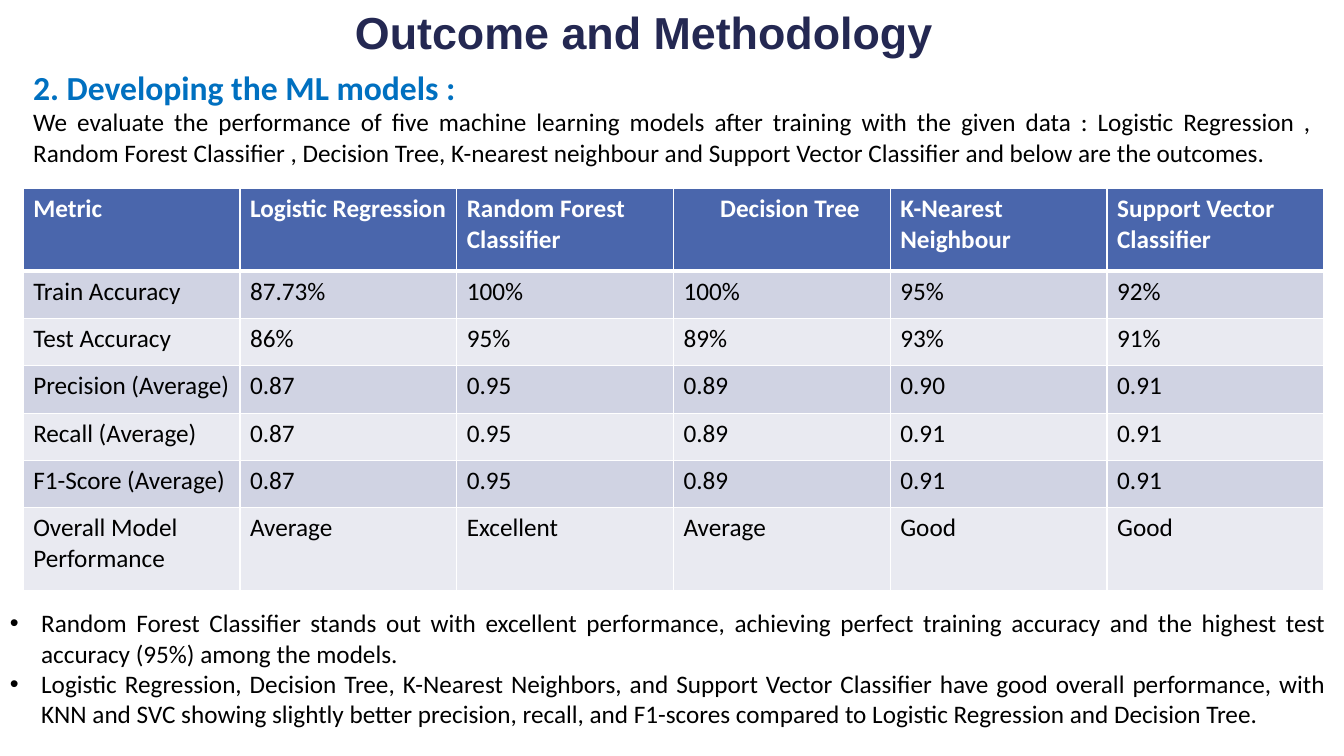
from dataclasses import dataclass

from lxml.etree import SubElement
from pptx import Presentation
from pptx.dml.color import RGBColor
from pptx.enum.text import MSO_ANCHOR, MSO_AUTO_SIZE, PP_ALIGN
from pptx.oxml import parse_xml
from pptx.oxml.ns import nsdecls, qn
from pptx.util import Emu, Pt

PX = 9144  # 100 px to the inch


@dataclass(frozen=True)
class Theme:
    title: str = "242852"
    heading: str = "0070C0"
    text: str = "000000"
    white: str = "FFFFFF"
    header: str = "4A66AC"
    bands: tuple = ("D0D3E3", "E9EAF1")
    title_font: str = "Arial"
    body_font: str = "Calibri"
    title_size: int = 32
    heading_size: int = 24
    body_size: int = 18


theme = Theme()


def px(*lengths):
    return [Emu(length * PX) for length in lengths]


def style(paragraph, size, color, bold=False, name=theme.body_font, align=PP_ALIGN.LEFT):
    paragraph.alignment = align
    font = paragraph.font
    font.name, font.size, font.bold = name, Pt(size), bold
    font.color.rgb = RGBColor.from_string(color)


presentation = Presentation()
presentation.slide_width, presentation.slide_height = px(1333, 750)
slide = presentation.slides.add_slide(presentation.slide_layouts[5])

# Title
title = slide.shapes.title
title.left, title.top, title.width, title.height = px(342, -13, 1150, 89)
title.text_frame.text = "Outcome and Methodology"
title.text_frame.auto_size = MSO_AUTO_SIZE.NONE
title.text_frame.vertical_anchor = MSO_ANCHOR.MIDDLE
style(title.text_frame.paragraphs[0], theme.title_size, theme.title, True, theme.title_font)

# Model comparison table
rows = [
    ["Metric", "Logistic Regression", "Random Forest Classifier", "Decision Tree",
     "K-Nearest Neighbour", "Support Vector Classifier"],
    ["Train Accuracy", "87.73%", "100%", "100%", "95%", "92%"],
    ["Test Accuracy", "86%", "95%", "89%", "93%", "91%"],
    ["Precision (Average)", "0.87", "0.95", "0.89", "0.90", "0.91"],
    ["Recall (Average)", "0.87", "0.95", "0.89", "0.91", "0.91"],
    ["F1-Score (Average)", "0.87", "0.95", "0.89", "0.91", "0.91"],
    ["Overall Model Performance", "Average", "Excellent", "Average", "Good", "Good"],
]
row_heights = px(82, 47, 47, 47, 47, 47, 82)
table = slide.shapes.add_table(len(rows), len(rows[0]), *px(23, 187, 1290, 399)).table
for column in table.columns:
    column.width = Emu(215 * PX)

for row_index, labels in enumerate(rows):
    is_header = row_index == 0
    table.rows[row_index].height = row_heights[row_index]
    fill = theme.header if is_header else theme.bands[(row_index - 1) % 2]
    border_widths = {"lnL": 1, "lnR": 1, "lnT": 3 if row_index == 1 else 1,
                     "lnB": 3 if is_header else 1}
    for column_index, label in enumerate(labels):
        cell = table.cell(row_index, column_index)
        cell.text = label
        style(cell.text_frame.paragraphs[0], theme.body_size,
              theme.white if is_header else theme.text, is_header)
        cell.fill.solid()
        cell.fill.fore_color.rgb = RGBColor.from_string(fill)
        properties = cell._tc.get_or_add_tcPr()
        for position, (side, width) in enumerate(border_widths.items()):
            properties.insert(position, parse_xml(
                f'<a:{side} {nsdecls("a")} w="{Pt(width)}"><a:solidFill>'
                f'<a:srgbClr val="{theme.white}"/></a:solidFill></a:{side}>'))

# The Decision Tree heading is centred, a little to the right
decision_tree = table.cell(0, 3)
decision_tree.text_frame.paragraphs[0].alignment = PP_ALIGN.CENTER
decision_tree.margin_left = Emu(26 * PX)

# Introduction above the table
introduction = slide.shapes.add_textbox(*px(23, 61, 1288, 111)).text_frame
introduction.word_wrap = True
introduction.text = (
    "2. Developing the ML models :\n"
    "We evaluate the performance of five machine learning models after training with the given "
    "data : Logistic Regression , Random Forest Classifier , Decision Tree, K-nearest neighbour "
    "and Support Vector Classifier and below are the outcomes.")
heading, summary = introduction.paragraphs
style(heading, theme.heading_size, theme.heading, True, align=PP_ALIGN.JUSTIFY)
style(summary, theme.body_size, theme.text, align=PP_ALIGN.JUSTIFY)

# Findings below the table
findings = slide.shapes.add_textbox(*px(0, 598, 1325, 131)).text_frame
findings.word_wrap = True
findings.text = (
    "Random Forest Classifier stands out with excellent performance, achieving perfect training "
    "accuracy and the highest test accuracy (95%) among the models.\n"
    "Logistic Regression, Decision Tree, K-Nearest Neighbors, and Support Vector Classifier have "
    "good overall performance, with KNN and SVC showing slightly better precision, recall, and "
    "F1-scores compared to Logistic Regression and Decision Tree.")
for paragraph in findings.paragraphs:
    properties = paragraph._p.get_or_add_pPr()
    properties.set("marL", str(31 * PX))
    properties.set("indent", str(-31 * PX))
    SubElement(properties, qn("a:buFont"), typeface=theme.title_font)
    SubElement(properties, qn("a:buChar"), char="•")
    style(paragraph, theme.body_size, theme.text, align=PP_ALIGN.JUSTIFY)

presentation.save("out.pptx")
